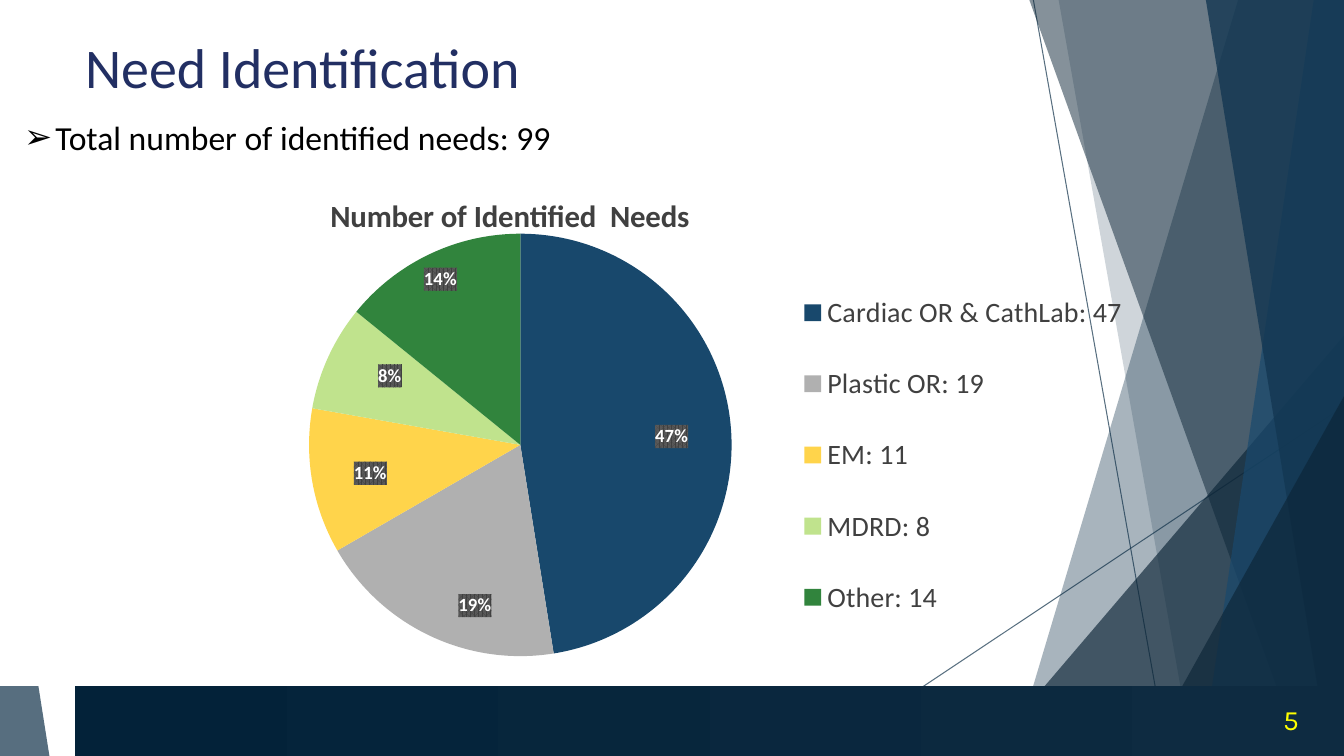
from pptx import Presentation
from pptx.chart.data import CategoryChartData
from pptx.dml.color import RGBColor
from pptx.enum.chart import XL_CHART_TYPE as ChartType, XL_LEGEND_POSITION as LegendPos
from pptx.enum.shapes import MSO_CONNECTOR as Connector, MSO_SHAPE as Preset
from pptx.enum.text import MSO_ANCHOR as Anchor, PP_ALIGN as Align
from pptx.oxml import parse_xml
from pptx.oxml.ns import nsdecls, qn
from pptx.util import Inches, Pt

NAVY, DEEP, GREY = "103149", "0C2537", "404040"


def color(value):
    return RGBColor.from_string(value)


class Deck:
    font = "Calibri"

    def __init__(self):
        self.deck = Presentation()
        self.deck.slide_width, self.deck.slide_height = Inches(13.33), Inches(7.5)
        self.slide = self.deck.slides.add_slide(self.deck.slide_layouts[6])
        self.shapes = self.slide.shapes

    def x(self, percent):
        return round(self.deck.slide_width * percent / 100)

    def y(self, percent):
        return round(self.deck.slide_height * percent / 100)

    def box(self, left, top, width, height):
        return self.x(left), self.y(top), self.x(width), self.y(height)

    def style_font(self, font, size, tint, **values):
        for key, value in {"name": self.font, "size": Pt(size), **values}.items():
            setattr(font, key, value)
        font.color.rgb = color(tint)

    def fade(self, shape, opacity):
        for tint in shape.element.xpath("./p:spPr//a:srgbClr"):
            tint.append(parse_xml(f'<a:alpha {nsdecls("a")} val="{opacity * 1000}"/>'))

    def paint(self, shape, tint, opacity=100):
        shape.shadow.inherit = False
        shape.line.fill.background()
        shape.fill.solid()
        shape.fill.fore_color.rgb = color(tint)
        if opacity < 100:
            self.fade(shape, opacity)

    def ray(self, start, end):
        line = self.shapes.add_connector(
            Connector.STRAIGHT, self.x(start[0]), self.y(start[1]), self.x(end[0]), self.y(end[1]))
        line.line.width = Pt(0.75)
        line.line.color.rgb = color(NAVY)
        line.element.spPr.append(parse_xml(f'<a:effectLst {nsdecls("a")}/>'))
        self.fade(line, 70)

    def facet(self, top, bottom, tint, opacity):
        builder = self.shapes.build_freeform(self.x(top), 0)
        corners = [(100, 0), (100, 100), (bottom, 100)]
        builder.add_line_segments([(self.x(x), self.y(y)) for x, y in corners])
        self.paint(builder.convert_to_shape(), tint, opacity)

    def triangle(self, area, apex, tint, opacity):
        shape = self.shapes.add_shape(Preset.ISOSCELES_TRIANGLE, *self.box(*area))
        shape.adjustments[0] = apex
        self.paint(shape, tint, opacity)

    def panel(self, area, *tints):
        shape = self.shapes.add_shape(Preset.RECTANGLE, *self.box(*area))
        self.paint(shape, tints[0])
        if len(tints) > 1:
            shape.fill.gradient()
            shape.fill.gradient_angle = 0
            for stop, tint in zip(shape.fill.gradient_stops, tints):
                stop.color.rgb = color(tint)

    def text(self, area, words, size, tint, bullet=None, wrap=False,
             anchor=Anchor.TOP, align=Align.LEFT, **font):
        frame = self.shapes.add_textbox(*self.box(*area)).text_frame
        for key, value in {"word_wrap": wrap, "vertical_anchor": anchor}.items():
            setattr(frame, key, value)
        paragraph = frame.paragraphs[0]
        paragraph.alignment = align
        if bullet:
            props = paragraph._p.get_or_add_pPr()
            indent = self.x(2.33)
            for key, value in {"marL": indent, "indent": -indent}.items():
                props.set(key, str(value))
            for tag in (f'buFont {nsdecls("a")} typeface="{self.font}"',
                        f'buChar {nsdecls("a")} char="{bullet}"'):
                props.append(parse_xml(f"<a:{tag}/>"))
        run = paragraph.add_run()
        run.text = words
        self.style_font(run.font, size, tint, **font)

    def place(self, part, index, inner=False, **shares):
        for old in part.findall(qn("c:layout")):
            part.remove(old)
        target = '<c:layoutTarget val="inner"/>' if inner else ""
        modes = "".join(f'<c:{key}Mode val="edge"/>' for key in "xy")
        sizes = "".join(f'<c:{key} val="{value}"/>' for key, value in shares.items())
        part.insert(index, parse_xml(
            f'<c:layout {nsdecls("c")}><c:manualLayout>{target}{modes}{sizes}'
            '</c:manualLayout></c:layout>'))

    def percent_labels(self, series, offsets):
        shows = "".join(
            f'<c:show{key} val="{int(key == "Percent")}"/>'
            for key in ("LegendKey", "Val", "CatName", "SerName", "Percent", "BubbleSize"))
        look = (
            '<c:numFmt formatCode="0%" sourceLinked="0"/>'
            '<c:spPr><a:pattFill prst="pct75"><a:fgClr><a:srgbClr val="404040"/></a:fgClr>'
            '<a:bgClr><a:srgbClr val="595959"/></a:bgClr></a:pattFill></c:spPr>'
            '<c:txPr><a:bodyPr/><a:p><a:pPr><a:defRPr sz="1330" b="1"><a:solidFill>'
            f'<a:srgbClr val="FFFFFF"/></a:solidFill><a:latin typeface="{self.font}"/>'
            '</a:defRPr></a:pPr><a:endParaRPr lang="en-US"/></a:p></c:txPr>'
            f'<c:dLblPos val="ctr"/>{shows}')
        labels = "".join(
            f'<c:dLbl><c:idx val="{index}"/><c:layout><c:manualLayout><c:x val="{dx}"/>'
            f'<c:y val="{dy}"/></c:manualLayout></c:layout>{look}</c:dLbl>'
            for index, (dx, dy) in enumerate(offsets))
        series.find(qn("c:cat")).addprevious(parse_xml(
            f'<c:dLbls {nsdecls("c", "a")}>{labels}{look}<c:showLeaderLines val="0"/></c:dLbls>'))

    def pie(self, area, title, slices):
        needs = CategoryChartData()
        needs.categories = [f"{name}: {count}" for name, count, *_ in slices]
        needs.add_series(title, [count for _, count, *_ in slices])
        chart = self.shapes.add_chart(ChartType.PIE, *self.box(*area), needs).chart
        self.style_font(chart.font, 10, "000000")
        chart.has_title = chart.has_legend = True
        heading = chart.chart_title.text_frame.paragraphs[0].add_run()
        heading.text = title
        self.style_font(heading.font, 22, GREY, bold=True)
        chart.legend.position = LegendPos.RIGHT
        chart.legend.include_in_layout = False
        self.style_font(chart.legend.font, 20, GREY)
        plot = chart.plots[0]
        plot.vary_by_categories = True
        for index, (_, _, tint, _) in enumerate(slices):
            wedge = plot.series[0].points[index].format
            wedge.fill.solid()
            wedge.fill.fore_color.rgb = color(tint)
            wedge.line.fill.background()
        root = chart.element
        self.percent_labels(root.xpath(".//c:ser")[0], [offset for *_, offset in slices])
        self.place(root.xpath(".//c:title")[0], 1, x=0.27, y=0.01)
        self.place(root.xpath(".//c:plotArea")[0], 0, True, x=0.24, y=0.1, w=0.4, h=0.84)
        self.place(root.xpath(".//c:legend")[0], 1, x=0.68, y=0.15, w=0.29, h=0.78)


def main():
    page = Deck()
    page.ray((76.89, 0), (86.87, 100))
    page.ray((100, 53.73), (60.92, 100))
    page.facet(92.12, 75.32, NAVY, 36)
    page.facet(78.77, 88.75, NAVY, 20)
    page.triangle((73.29, 44.4, 26.71, 55.6), 1, DEEP, 66)
    page.facet(76.59, 96.85, DEEP, 50)
    page.facet(97.75, 89.42, "19496D", 70)
    page.facet(89.72, 98.87, "133752", 80)
    page.triangle((85.07, 52.4, 14.93, 47.6), 1, DEEP, 66)
    page.triangle((0, 58.53, 3.68, 41.47), 0, NAVY, 70)
    page.panel((5.6, 90.75, 94.4, 9.25), "032239", "0E2B41")
    page.panel((0, 57.07, 30.16, 33.65), "FFFFFF")
    page.text((91.75, 92.53, 5.63, 5.33), "5", 20, "FFFF00", wrap=True,
              anchor=Anchor.MIDDLE, align=Align.RIGHT, name="Karla")
    page.text((5.6, 3.6, 34.36, 10.27), "Need Identification", 40, "222F63")
    page.text((1.05, 14.8, 42.16, 6.67), "Total number of identified needs: 99", 24,
              "000000", bullet="➢")
    page.pie((1.05, 24.27, 85.6, 66.53), "Number of Identified  Needs", [
        ("Cardiac OR & CathLab", 47, "18486C", (0.04, 0)),
        ("Plastic OR", 19, "B0B0B0", (0, 0.13)),
        ("EM", 11, "FFD44B", (-0.04, 0.02)),
        ("MDRD", 8, "C0E38D", (-0.03, -0.05)),
        ("Other", 14, "31843D", (-0.03, -0.14)),
    ])
    page.deck.save("out.pptx")


if __name__ == "__main__":
    main()
